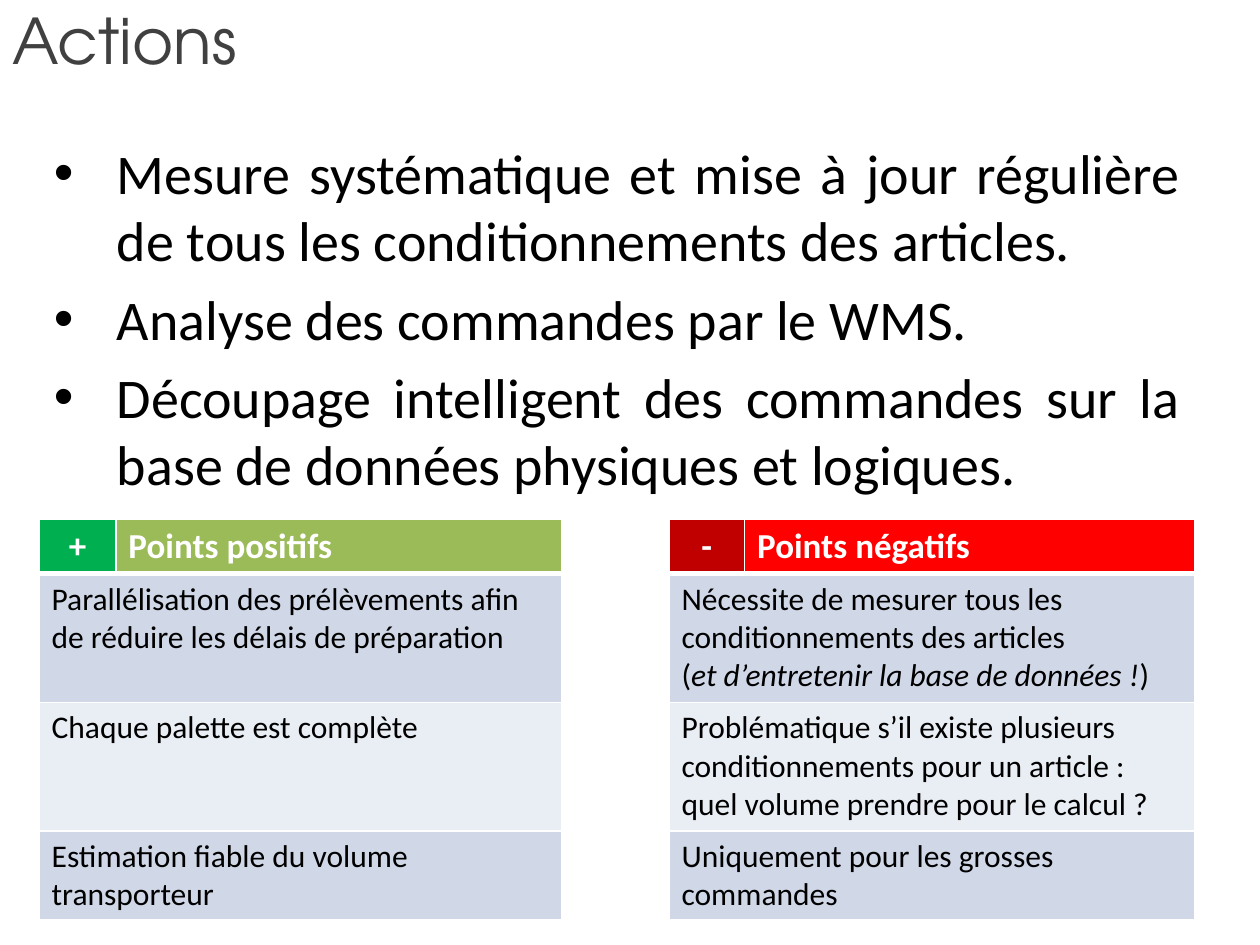
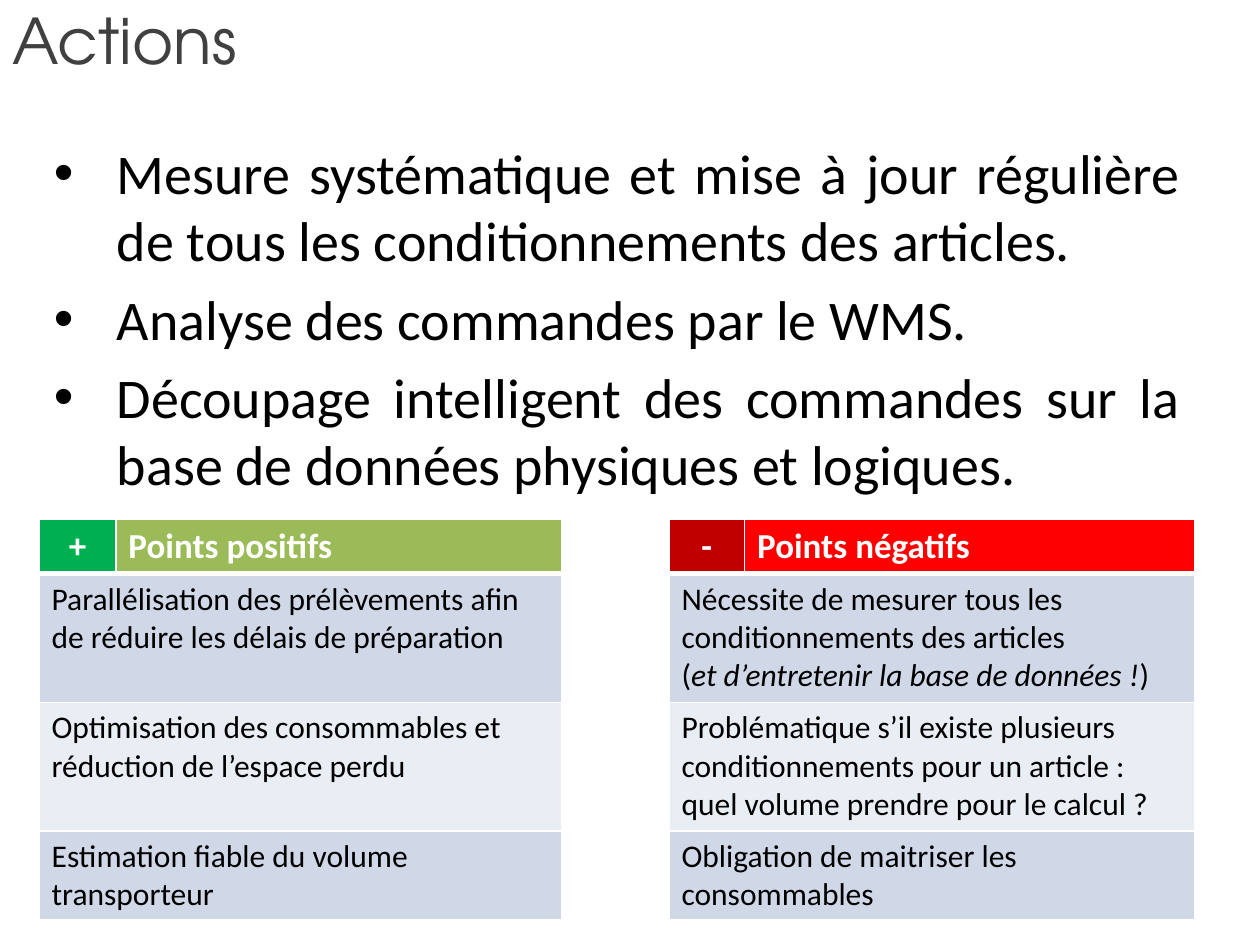
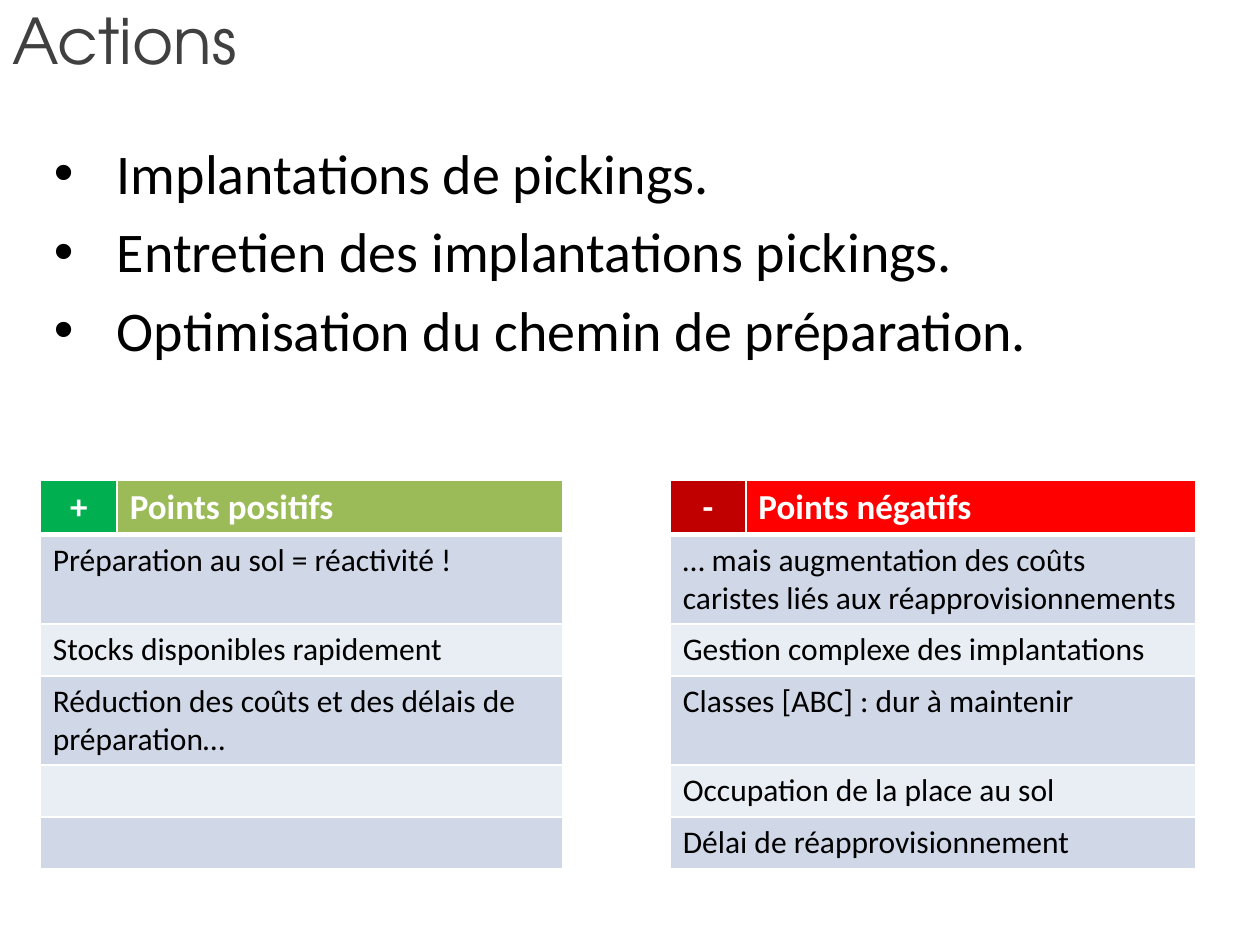
from lxml.etree import SubElement
from pptx import Presentation
from pptx.dml.color import RGBColor
from pptx.enum.text import MSO_ANCHOR as Anchor, PP_ALIGN as Align
from pptx.oxml.ns import qn
from pptx.util import Inches, Pt

HEADING = {"name": "TeX Gyre Adventor", "size": Pt(36), "color": "404040"}
BODY = {"name": "Calibri", "size": Pt(32), "color": "000000"}
CELL = {"name": "Calibri", "size": Pt(18), "color": "000000", "bold": False}
HEADER = {"name": "Calibri", "size": Pt(20), "color": "FFFFFF", "bold": True}

COLUMNS = [0.61, 3.54, 0.85, 0.6, 3.57]
HEADERS = [("+", "00B050"), ("Points positifs", "9BBB59"), ("", None),
           ("-", "C00000"), ("Points négatifs", "FF0000")]
BANDS = ["D0D8E8", "E9EDF4"]
HEADER_HEIGHT = 0.43
LINE_HEIGHTS = {1: 0.41, 2: 0.71, 3: 1.02}

PARCEL_ACTIONS = [
    "Mesure systématique et mise à jour régulière de tous les conditionnements des articles.",
    "Analyse des commandes par le WMS.",
    "Découpage intelligent des commandes sur la base de données physiques et logiques.",
]
PICKING_ACTIONS = [
    "Implantations de pickings.",
    "Entretien des implantations pickings.",
    "Optimisation du chemin de préparation.",
]
PARALLEL = "Parallélisation des prélèvements afin de réduire les délais de préparation"
MEASURING = ("Nécessite de mesurer tous les conditionnements des articles\n"
             "(*et d’entretenir la base de données !*)")
AMBIGUITY = ("Problématique s’il existe plusieurs conditionnements pour un article : "
             "quel volume prendre pour le calcul ?")
ESTIMATE = "Estimation fiable du volume transporteur"

PALLET_POINTS = [
    (3, PARALLEL, MEASURING),
    (3, "Chaque palette est complète", AMBIGUITY),
    (2, ESTIMATE, "Uniquement pour les grosses commandes"),
]
PACKAGE_POINTS = [
    (3, PARALLEL, MEASURING),
    (3, "Optimisation des consommables et réduction de l’espace perdu", AMBIGUITY),
    (2, ESTIMATE, "Obligation de maitriser les consommables"),
]
PICKING_POINTS = [
    (2, "Préparation au sol = réactivité !",
     "… mais augmentation des coûts caristes liés aux réapprovisionnements"),
    (1, "Stocks disponibles rapidement", "Gestion complexe des implantations"),
    (2, "Réduction des coûts et des délais de préparation…", "Classes [ABC] : dur à maintenir"),
    (1, "", "Occupation de la place au sol"),
    (1, "", "Délai de réapprovisionnement"),
]


def rgb(value):
    """Turn a hex string into a colour."""
    return RGBColor.from_string(value)


class Deck:
    """Hold the presentation, its style and the current slide."""

    def __init__(self):
        """Start an empty 10 by 7.5 inch deck."""
        self.deck = Presentation()
        self.deck.slide_width, self.deck.slide_height = Inches(10), Inches(7.5)
        self.page = None

    def add_page(self):
        """Open a new blank slide."""
        self.page = self.deck.slides.add_slide(self.deck.slide_layouts[6])

    def style(self, font, values):
        """Apply a dict of format values to a font."""
        for key, value in values.items():
            if key == "color":
                font.color.rgb = rgb(value)
            else:
                setattr(font, key, value)

    def add_text(self, para, text, values):
        """Put text into a paragraph, with starred parts in italics."""
        self.style(para.font, values)
        for index, part in enumerate(text.split("*")):
            if part:
                span = para.add_run()
                span.text = part
                self.style(span.font, {**values, "italic": index % 2 == 1})

    def text_box(self, left, top, width, height):
        """Add a wrapping text box and return its text frame."""
        box = self.page.shapes.add_textbox(*map(Inches, (left, top, width, height)))
        box.text_frame.word_wrap = True
        return box.text_frame

    def title(self, text):
        """Add the slide title."""
        frame = self.text_box(0, 0, 10, 0.62)
        frame.vertical_anchor = Anchor.MIDDLE
        self.add_text(frame.paragraphs[0], text, HEADING)

    def bullets(self, items):
        """Add the justified bullet list."""
        frame = self.text_box(0.33, 1.05, 9.14, 2.32)
        for index, item in enumerate(items):
            para = frame.add_paragraph() if index else frame.paragraphs[0]
            para.alignment = Align.JUSTIFY
            if index:
                para.space_before = Pt(6.4)
            properties = para._p.get_or_add_pPr()
            properties.set("marL", str(Inches(0.5)))
            properties.set("indent", str(-Inches(0.5)))
            SubElement(properties, qn("a:buFont"), typeface="Arial")
            SubElement(properties, qn("a:buChar"), char="•")
            self.add_text(para, item, BODY)

    def borders(self, cell, top, bottom):
        """Give a cell white borders with the given top and bottom widths."""
        properties = cell._tc.get_or_add_tcPr()
        for side, width in zip("LRTB", (1, 1, top, bottom)):
            line = SubElement(properties, qn(f"a:ln{side}"), w=str(Pt(width)))
            SubElement(SubElement(line, qn("a:solidFill")), qn("a:srgbClr"), val="FFFFFF")

    def fill_cell(self, cell, text, color, values):
        """Fill a cell with a colour and its lines of text."""
        if color:
            cell.fill.solid()
            cell.fill.fore_color.rgb = rgb(color)
        else:
            cell.fill.background()
        frame = cell.text_frame
        for index, line in enumerate(text.split("\n")):
            para = frame.add_paragraph() if index else frame.paragraphs[0]
            if line in ("+", "-"):
                para.alignment = Align.CENTER
            self.add_text(para, line, values)

    def points_table(self, left, top, points):
        """Add the table of positive and negative points."""
        heights = [HEADER_HEIGHT] + [LINE_HEIGHTS[lines] for lines, _, _ in points]
        size = (sum(COLUMNS), sum(heights))
        table = self.page.shapes.add_table(
            len(heights), len(COLUMNS), *map(Inches, (left, top, *size))).table
        table.first_row = table.horz_banding = False
        for column, width in zip(table.columns, COLUMNS):
            column.width = Inches(width)
        for index, height in enumerate(heights):
            table.rows[index].height = Inches(height)
            for cell in table.rows[index].cells:
                self.borders(cell, 3 if index == 1 else 1, 1 if index else 3)
        for column, (text, color) in enumerate(HEADERS):
            self.fill_cell(table.cell(0, column), text, color, HEADER)
        for row, (_, positive, negative) in enumerate(points, 1):
            band = BANDS[(row - 1) % 2]
            for column, text in ((0, positive), (3, negative)):
                table.cell(row, column).merge(table.cell(row, column + 1))
                self.fill_cell(table.cell(row, column), text, band, CELL)
            self.fill_cell(table.cell(row, 2), "", None, CELL)


def main():
    """Build the three slides and save them."""
    deck = Deck()
    for actions, left, top, points in (
        (PARCEL_ACTIONS, 0.31, 4.12, PALLET_POINTS),
        (PARCEL_ACTIONS, 0.31, 4.12, PACKAGE_POINTS),
        (PICKING_ACTIONS, 0.32, 3.81, PICKING_POINTS),
    ):
        deck.add_page()
        deck.title("Actions")
        deck.bullets(actions)
        deck.points_table(left, top, points)
    deck.deck.save("out.pptx")


if __name__ == "__main__":
    main()
